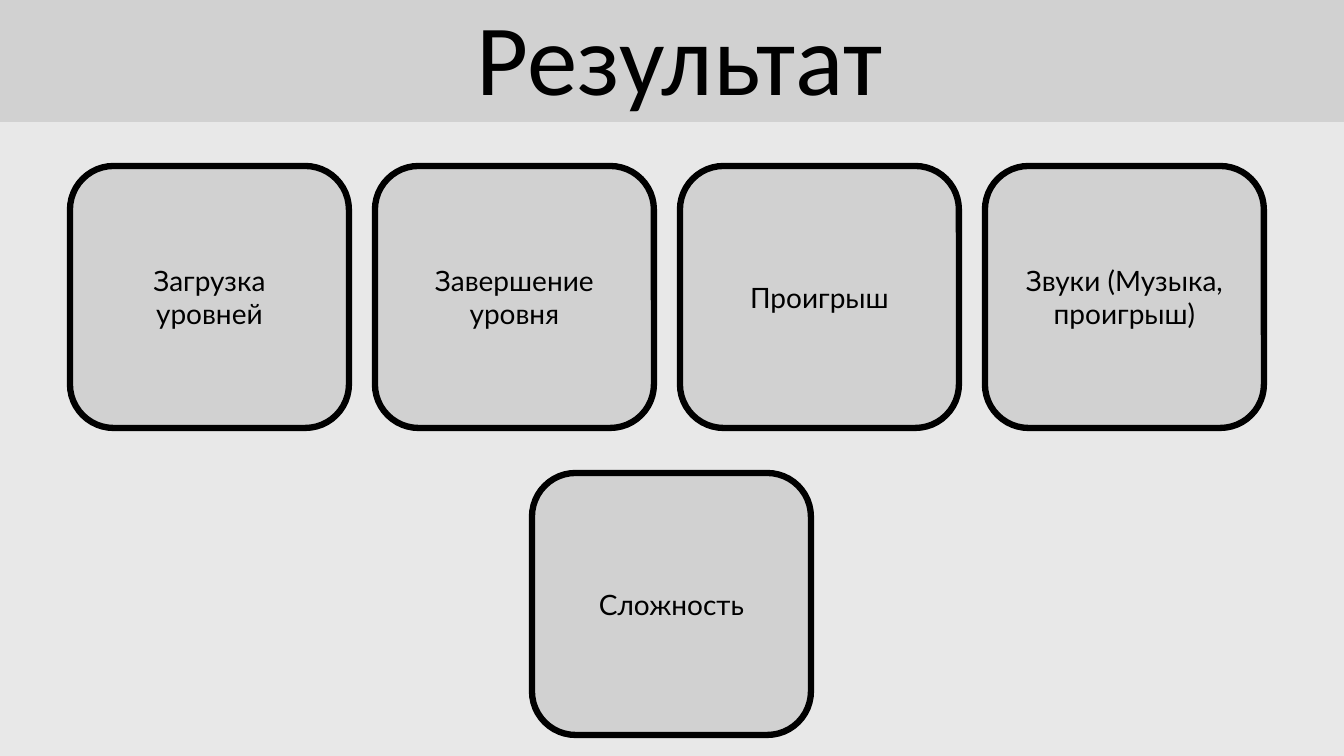
from pptx import Presentation
from pptx.dml.color import RGBColor
from pptx.enum.shapes import MSO_SHAPE as Shape
from pptx.enum.text import MSO_ANCHOR as Anchor, PP_ALIGN as Align
from pptx.util import Emu, Pt

BACKGROUND = RGBColor(0xE8, 0xE8, 0xE8)
PANEL = RGBColor(0xD1, 0xD1, 0xD1)
INK = RGBColor(0x00, 0x00, 0x00)

SLIDE_WIDTH, SLIDE_HEIGHT = 1344, 756
CARD_WIDTH, CARD_HEIGHT = 279, 262
ROW_LEFT, ROW_TOP, CARD_STEP = 70, 166, 305
LAST_TOP = 473


def px(length):
    return Emu(round(length * 914400 / 100.8))


def add_panel(kind, left, top, width, height, text, font, size, anchor):
    panel = slide.shapes.add_shape(kind, px(left), px(top), px(width), px(height))
    panel.shadow.inherit = False
    panel.fill.solid()
    panel.fill.fore_color.rgb = PANEL
    frame = panel.text_frame
    frame.word_wrap = True
    frame.vertical_anchor = anchor
    frame.text = text
    for paragraph in frame.paragraphs:
        paragraph.alignment = Align.CENTER
        for run in paragraph.runs:
            run.font.name = font
            run.font.size = Pt(size)
            run.font.color.rgb = INK
    return panel


deck = Presentation()
deck.slide_width, deck.slide_height = px(SLIDE_WIDTH), px(SLIDE_HEIGHT)
slide = deck.slides.add_slide(deck.slide_layouts[6])
slide.background.fill.solid()
slide.background.fill.fore_color.rgb = BACKGROUND

heading = add_panel(Shape.RECTANGLE, 0, 0, 1359, 122, "Результат", "Calibri", 72, Anchor.BOTTOM)
heading.line.fill.background()
heading.text_frame.paragraphs[0].line_spacing = 0.9

row_results = [
    "Загрузка\nуровней",
    "Завершение уровня",
    "Проигрыш",
    "Звуки (Музыка,\nпроигрыш)",
]
results = [
    (ROW_LEFT + index * CARD_STEP, ROW_TOP, result)
    for index, result in enumerate(row_results)
]
results.append(((SLIDE_WIDTH - CARD_WIDTH) // 2, LAST_TOP, "Сложность"))

for left, top, result in results:
    card = add_panel(
        Shape.ROUNDED_RECTANGLE, left, top, CARD_WIDTH, CARD_HEIGHT,
        result, "Lato", 20, Anchor.MIDDLE,
    )
    card.line.color.rgb = INK
    card.line.width = Pt(4.5)

deck.save("out.pptx")
